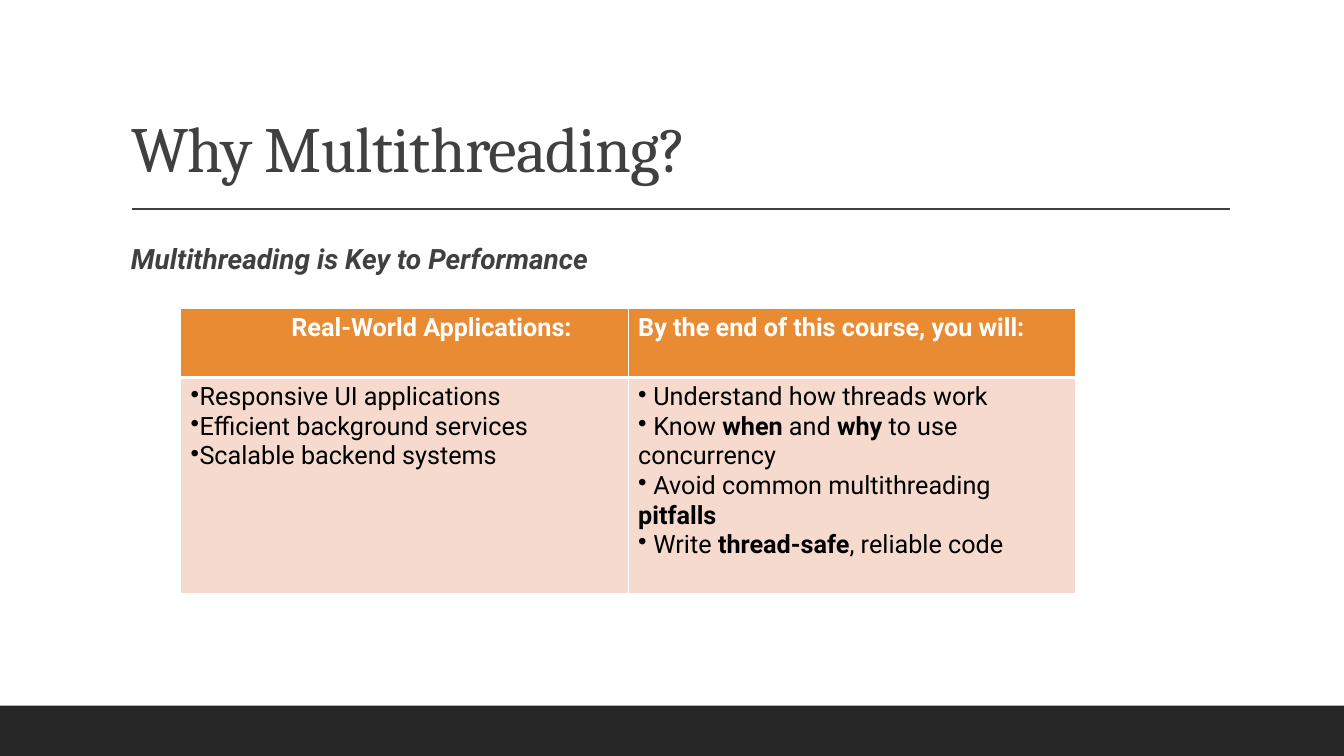
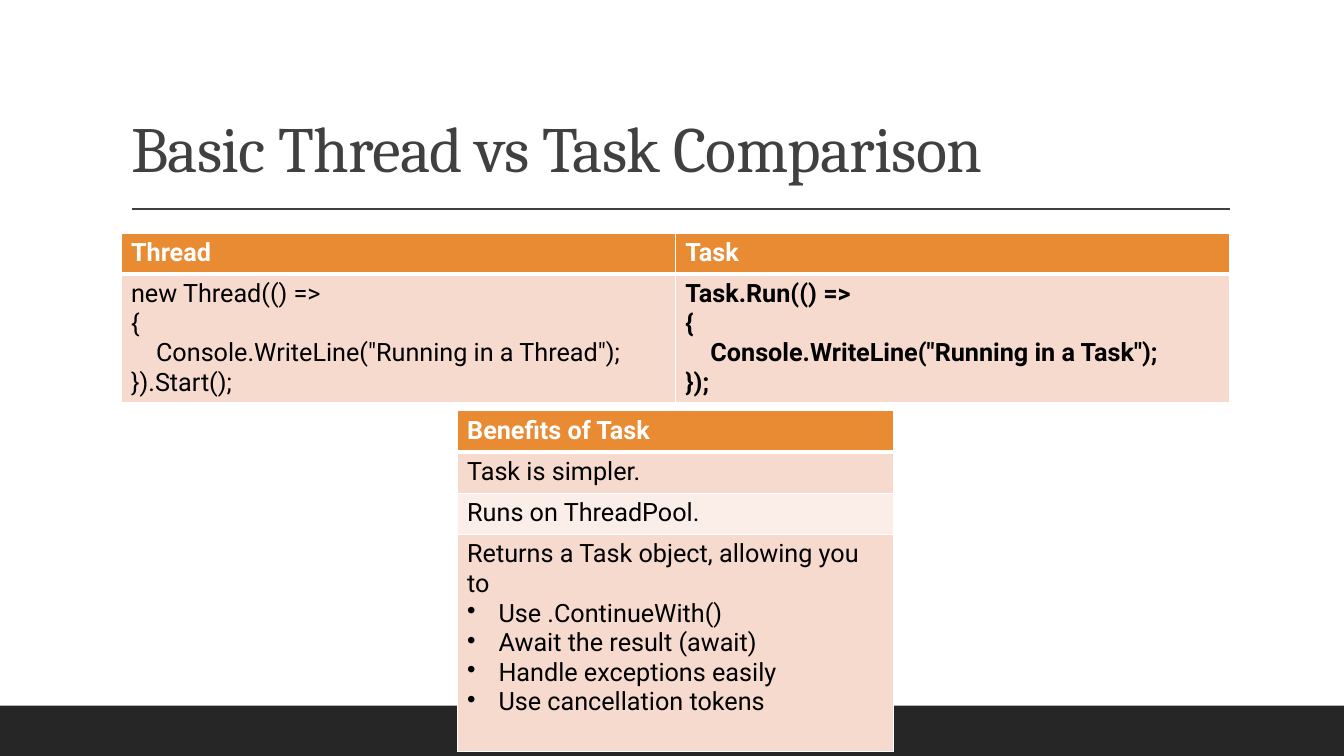
import pptx
import pptx.dml.color
import pptx.enum.shapes
import pptx.enum.text
import pptx.oxml
import pptx.oxml.ns
import pptx.util
from pptx.util import Cm, Pt

COLORS = {
    "ink": "404040",
    "footer": "262626",
    "header": "E88B33",
    "band": "F6DACE",
    "light_band": "FBEEE8",
    "white": "FFFFFF",
    "black": "000000",
}
RGB = {name: pptx.dml.color.RGBColor.from_string(code) for name, code in COLORS.items()}
TITLE_FONT, BODY_FONT = "Cambria", "Roboto"
LEFT, CONTENT_WIDTH = Cm(3.05), Cm(27.94)
ROW_HEIGHT = 1.04

# Paragraph styles: left margin and first-line indent in cm, bullet or None
PLAIN = (0, 0, None)
TABBED = (2.54, 0, None)
CODE_INDENT = (0.63, 0, None)
INLINE_BULLET = (0, 0, "•")
HANGING_BULLET = (0.79, -0.79, "•")


def write_paragraphs(frame, paragraphs, size, color, bold=False):
    """Fill a frame with (style, text) pairs; **marked** parts are bold."""
    for number, ((margin, indent, bullet), text) in enumerate(paragraphs):
        paragraph = frame.add_paragraph() if number else frame.paragraphs[0]
        properties = paragraph._p.get_or_add_pPr()
        properties.set("marL", str(Cm(margin)))
        properties.set("indent", str(Cm(indent)))
        if bullet:
            mark = pptx.oxml.parse_xml(
                f'<a:buChar {pptx.oxml.ns.nsdecls("a")} char="{bullet}"/>')
            properties.append(mark)
        for part, words in enumerate(text.split("**")):
            if words:
                run = paragraph.add_run()
                run.text = words
                run.font.name = BODY_FONT
                run.font.size = Pt(size)
                run.font.bold = bold or part % 2 == 1
                run.font.color.rgb = RGB[color]


def add_grid(slide, left, top, column_width, row_heights, rows):
    """Add a table with an orange header, tinted bands and white borders."""
    columns = len(rows[0])
    table = slide.shapes.add_table(
        len(rows), columns, Cm(left), Cm(top),
        Cm(column_width * columns), Cm(sum(row_heights))).table
    table.horz_banding = False
    for column in table.columns:
        column.width = Cm(column_width)
    for r, (height, row) in enumerate(zip(row_heights, rows)):
        table.rows[r].height = Cm(height)
        fill = "header" if r == 0 else "band" if r % 2 else "light_band"
        for c, paragraphs in enumerate(row):
            cell = table.cell(r, c)
            cell.fill.solid()
            cell.fill.fore_color.rgb = RGB[fill]
            write_paragraphs(cell.text_frame, paragraphs, 18,
                             "black" if r else "white", bold=r == 0)
            # The line under the header is thicker than the others
            widths = {"L": 1, "R": 1, "T": 3 if r == 1 else 1, "B": 1 if r else 3}
            for position, (side, width) in enumerate(widths.items()):
                border = pptx.oxml.parse_xml(
                    f'<a:ln{side} {pptx.oxml.ns.nsdecls("a")} w="{Pt(width)}">'
                    f'<a:solidFill><a:srgbClr val="{COLORS["white"]}"/></a:solidFill>'
                    f'</a:ln{side}>')
                cell._tc.get_or_add_tcPr().insert(position, border)


deck = pptx.Presentation()
deck.slide_width, deck.slide_height = Cm(33.87), Cm(19.05)
title_only = deck.slide_layouts[5]

# Shared frame: title, rule and footer band
slides = []
for heading in ("Why Multithreading?", "Basic Thread vs Task Comparison"):
    slide = deck.slides.add_slide(title_only)
    slides.append(slide)

    title = slide.shapes.title
    title.left, title.top, title.width, title.height = LEFT, Cm(0.79), CONTENT_WIDTH, Cm(4.04)
    title.text_frame.auto_size = pptx.enum.text.MSO_AUTO_SIZE.NONE
    title.text_frame.vertical_anchor = pptx.enum.text.MSO_ANCHOR.BOTTOM
    title_line = title.text_frame.paragraphs[0]
    title_line.alignment = pptx.enum.text.PP_ALIGN.LEFT
    title_line.line_spacing = 0.9
    run = title_line.add_run()
    run.text = heading
    run.font.name = TITLE_FONT
    run.font.size = Pt(46)
    run.font.color.rgb = RGB["ink"]
    run.font._element.set("spc", "-50")

    footer = slide.shapes.add_shape(
        pptx.enum.shapes.MSO_SHAPE.RECTANGLE, 0, Cm(17.78), deck.slide_width, Cm(1.27))
    footer.shadow.inherit = False
    footer.fill.solid()
    footer.fill.fore_color.rgb = RGB["footer"]
    footer.line.fill.background()

    rule = slide.shapes.add_connector(
        pptx.enum.shapes.MSO_CONNECTOR.STRAIGHT, Cm(3.33), Cm(5.27), Cm(31), Cm(5.27))
    rule.line.color.rgb = RGB["ink"]
    rule.line.width = Pt(1)
    rule._element.spPr.append(
        pptx.oxml.parse_xml(f'<a:effectLst {pptx.oxml.ns.nsdecls("a")}/>'))

why_slide, comparison_slide = slides

# Why multithreading: lead sentence
lead = why_slide.shapes.add_textbox(LEFT, Cm(5.87), CONTENT_WIDTH, Cm(1.3)).text_frame
lead.word_wrap = True
write_paragraphs(lead, [(PLAIN, "Multithreading is Key to Performance")], 20, "ink", bold=True)
lead.paragraphs[0].line_spacing = 1.1
lead.paragraphs[0].runs[0].font.italic = True

# Why multithreading: applications and course goals
applications = ["Responsive UI applications", "Efficient background services",
                "Scalable backend systems"]
goals = [" Understand how threads work",
         " Know **when** and **why** to use concurrency",
         " Avoid common multithreading **pitfalls**",
         " Write **thread-safe**, reliable code"]
add_grid(why_slide, 4.55, 7.77, 11.28, [1.74, 5.44], [
    [[(TABBED, "Real-World Applications:")],
     [(PLAIN, "By the end of this course, you will:")]],
    [[(INLINE_BULLET, text) for text in applications],
     [(INLINE_BULLET, text) for text in goals]],
])

# Comparison: code side by side
thread_code = [(PLAIN, "new Thread(() =>"), (PLAIN, "{"),
               (CODE_INDENT, 'Console.WriteLine("Running in a Thread");'),
               (PLAIN, "}).Start();")]
task_code = [(PLAIN, "**Task.Run(() =>**"), (PLAIN, "**{**"),
             (CODE_INDENT, '**Console.WriteLine("Running in a Task");**'),
             (PLAIN, "**});**")]
add_grid(comparison_slide, 3.05, 5.87, 13.97, [ROW_HEIGHT, 3.24], [
    [[(PLAIN, "Thread")], [(PLAIN, "Task")]],
    [thread_code, task_code],
])

# Comparison: benefits
task_features = ["Use .ContinueWith()", "Await the result (await)",
                 "Handle exceptions easily", "Use cancellation tokens"]
add_grid(comparison_slide, 11.52, 10.35, 11, [ROW_HEIGHT] * 3 + [5.47], [
    [[(PLAIN, "Benefits of Task")]],
    [[(PLAIN, "Task is simpler.")]],
    [[(PLAIN, "Runs on ThreadPool.")]],
    [[(PLAIN, "Returns a Task object, allowing you to")]
     + [(HANGING_BULLET, text) for text in task_features]],
])

deck.save("out.pptx")
